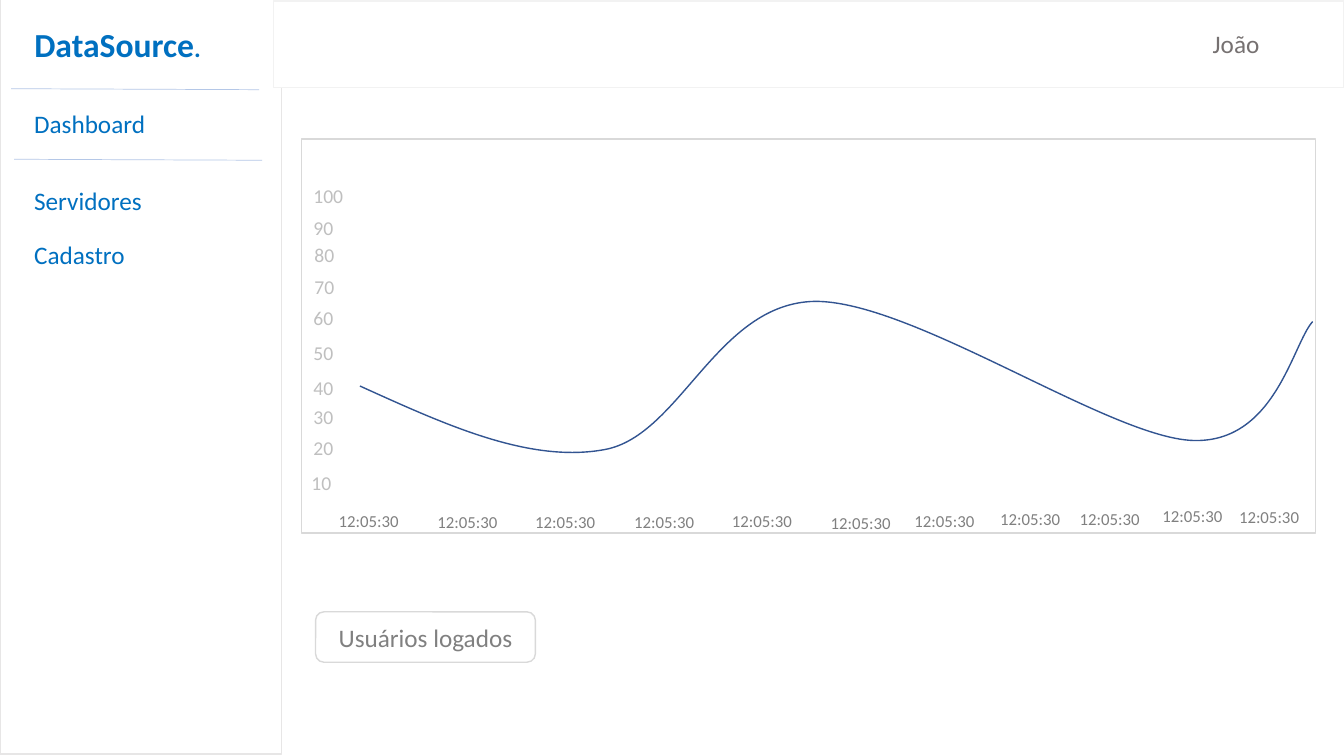
"""Build a monitoring dashboard slide with a menu, a usage curve and a button."""
from lxml.etree import SubElement
from pptx import Presentation
from pptx.dml.color import RGBColor
from pptx.enum.shapes import MSO_CONNECTOR, MSO_SHAPE
from pptx.enum.text import MSO_ANCHOR, MSO_AUTO_SIZE, PP_ALIGN
from pptx.oxml.ns import qn
from pptx.util import Pt

PX = 9144
FONT = "Calibri"
COLORS = {
    "white": "FFFFFF",
    "brand": "0070C0",
    "user": "767171",
    "sidebar_edge": "E7E6E6",
    "header_edge": "F2F2F2",
    "divider": "B4C7E7",
    "panel_edge": "D9D9D9",
    "scale": "BFBFBF",
    "muted": "808080",
    "curve": "325491",
}
MENU_ENTRIES = [("Dashboard", 103, 132), ("Servidores", 179, 128), ("Cadastro", 233, 111)]
SCALE_LABELS = [
    (100, 301, 178), (90, 301, 209), (80, 302, 236), (70, 302, 268), (60, 301, 299),
    (50, 301, 333), (40, 301, 368), (30, 301, 397), (20, 301, 428), (10, 299, 462),
]
TIME_LABELS = [
    (326, 502), (424, 503), (521, 503), (619, 503), (716, 502), (814, 504),
    (897, 502), (982, 500), (1061, 500), (1143, 497), (1219, 498),
]
CURVE_BOX = (357, 299, 946, 150)
CURVE_START = (357, 383)
CURVE_SEGMENTS = [
    ((441, 421), (525, 460), (600, 446)),
    ((675, 432), (711, 301), (808, 299)),
    ((905, 298), (1100, 434), (1183, 437)),
    ((1265, 440), (1282, 341), (1302, 319)),
]


def color(name):
    return RGBColor.from_string(COLORS[name])


def place(shape, left, top, width, height):
    shape.left, shape.top = left * PX, top * PX
    shape.width, shape.height = width * PX, height * PX


def add_span(para, text, size, tint, bold=False):
    span = para.add_run()
    span.text = text
    span.font.name = FONT
    span.font.size = Pt(size)
    span.font.bold = bold
    span.font.color.rgb = color(tint)


def add_panel(page, bounds, edge, kind=MSO_SHAPE.RECTANGLE):
    panel = page.shapes.add_shape(kind, *(length * PX for length in bounds))
    panel.shadow.inherit = False
    panel.fill.solid()
    panel.fill.fore_color.rgb = color("white")
    panel.line.color.rgb = color(edge)
    panel.line.width = Pt(1)
    return panel


def add_label(page, bounds, text, size, tint):
    box = page.shapes.add_textbox(*(length * PX for length in bounds))
    box.text_frame.word_wrap = False
    box.text_frame.auto_size = MSO_AUTO_SIZE.SHAPE_TO_FIT_TEXT
    add_span(box.text_frame.paragraphs[0], text, size, tint)


def add_divider(page, left, top):
    ends = (left, top, left + 246, top + 1)
    divider = page.shapes.add_connector(MSO_CONNECTOR.STRAIGHT, *(end * PX for end in ends))
    divider.line.color.rgb = color("divider")
    divider.line.width = Pt(0.5)
    SubElement(divider.element.spPr, qn("a:effectLst"))


def add_title(page):
    title = page.shapes.title
    title.element.getparent().append(title.element)
    place(title, 24, 19, 199, 50)
    frame = title.text_frame
    frame.vertical_anchor = MSO_ANCHOR.TOP
    frame.auto_size = MSO_AUTO_SIZE.NONE
    para = frame.paragraphs[0]
    para.alignment = PP_ALIGN.LEFT
    add_span(para, "DataSource", 24, "brand", bold=True)
    add_span(para, ".", 18, "brand", bold=True)


def add_curve(page):
    left, top, width, height = CURVE_BOX
    builder = page.shapes.build_freeform(*CURVE_START, scale=PX)
    builder.add_line_segments([segment[-1] for segment in CURVE_SEGMENTS], close=False)
    curve = builder.convert_to_shape()
    place(curve, *CURVE_BOX)
    outline = next(curve.element.iter(qn("a:path")))
    outline.set("w", str(width))
    outline.set("h", str(height))
    for straight in outline.findall(qn("a:lnTo")):
        outline.remove(straight)
    for segment in CURVE_SEGMENTS:
        bend = SubElement(outline, qn("a:cubicBezTo"))
        for x, y in segment:
            SubElement(bend, qn("a:pt"), x=str(x - left), y=str(y - top))
    curve.shadow.inherit = False
    curve.fill.background()
    curve.line.color.rgb = color("curve")
    curve.line.width = Pt(1)


def add_button(page, bounds, text):
    button = add_panel(page, bounds, "panel_edge", MSO_SHAPE.ROUNDED_RECTANGLE)
    button.text_frame.vertical_anchor = MSO_ANCHOR.MIDDLE
    para = button.text_frame.paragraphs[0]
    para.alignment = PP_ALIGN.CENTER
    add_span(para, text, 18, "muted")


def main():
    deck = Presentation()
    deck.slide_width, deck.slide_height = 1333 * PX, 750 * PX
    page = deck.slides.add_slide(deck.slide_layouts[5])

    add_panel(page, (0, -2, 279, 750), "sidebar_edge")
    add_panel(page, (271, 1, 1062, 86), "header_edge")
    add_label(page, (1193, 23, 67, 40), "João", 18, "user")
    add_title(page)
    add_divider(page, 11, 88)
    add_divider(page, 14, 158)
    for text, top, width in MENU_ENTRIES:
        add_label(page, (24, top, width, 40), text, 18, "brand")

    add_panel(page, (299, 138, 1006, 391), "panel_edge")
    for value, left, top in SCALE_LABELS:
        add_label(page, (left, top, 50 if value == 100 else 40, 34), str(value), 14, "scale")
    add_curve(page)
    for left, top in TIME_LABELS:
        add_label(page, (left, top, 81, 30), "12:05:30", 12, "muted")

    add_button(page, (313, 607, 218, 50), "Usuários logados")
    deck.save("out.pptx")


if __name__ == "__main__":
    main()
